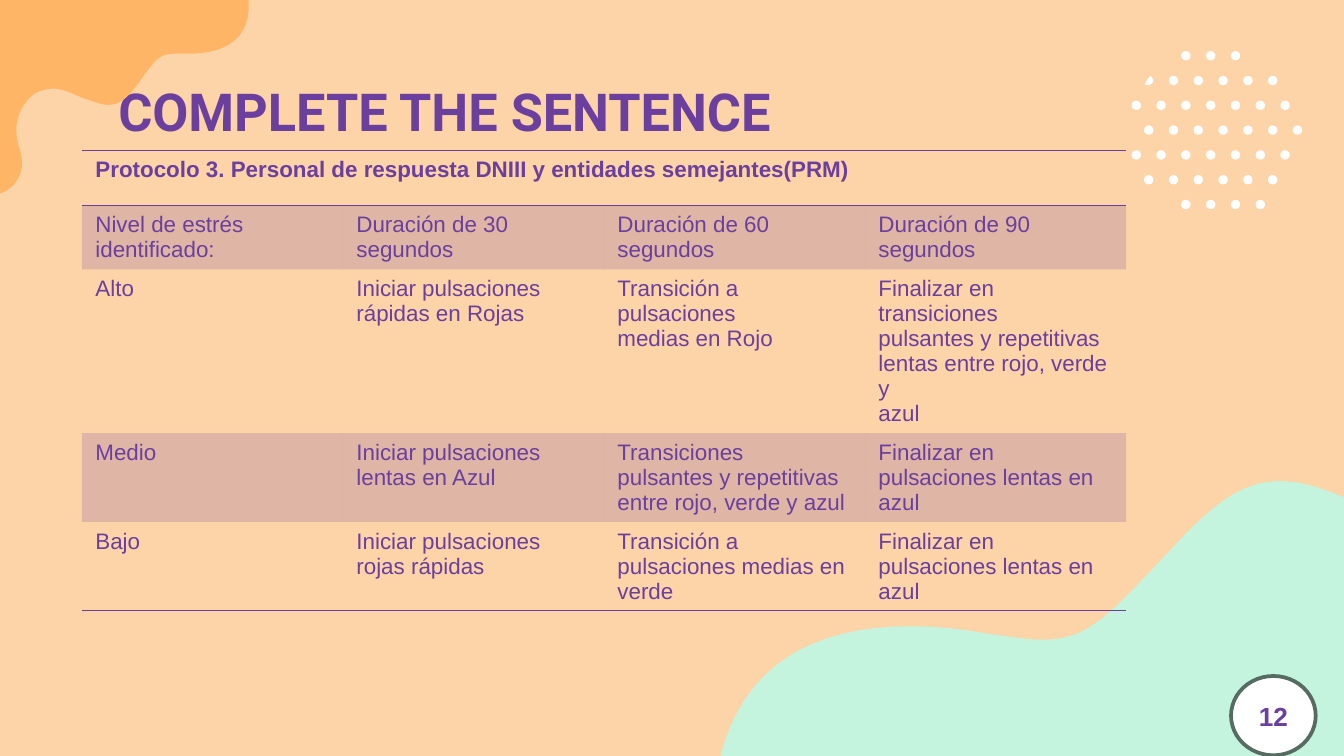
from lxml import etree
from pptx import Presentation
from pptx.dml.color import RGBColor
from pptx.enum import shapes, text
from pptx.oxml import ns
from pptx.util import Inches, Pt

PURPLE = RGBColor(0x6B, 0x3F, 0x9E)
PEACH = RGBColor(0xFD, 0xD3, 0xA8)
ORANGE = RGBColor(0xFF, 0xB5, 0x66)
MINT = RGBColor(0xC4, 0xF4, 0xDE)
WHITE = RGBColor(0xFF, 0xFF, 0xFF)
GREY = RGBColor(0x56, 0x6B, 0x61)

NO_STYLE = "{2D5ABB26-0587-4C30-8999-92F81FD0307C}"
HARD_SPACE = chr(160)
CURVE_STEPS = 16

# Outlines relative to their box: a pair is a line, three pairs are a curve.
MINT_WAVE = [
    (4.16, 0), (3.9, 0, 3.68, 0.15, 3.37, 0.49), (2.88, 1.01, 2.74, 1.18, 2.4, 1.18),
    (2.29, 1.18, 2.17, 1.16, 2.02, 1.14), (1.8, 1.1, 1.6, 1.08, 1.41, 1.08),
    (0.69, 1.08, 0.17, 1.37, 0, 2.05), (4.64, 2.05), (4.64, 0.12),
    (4.45, 0.04, 4.3, 0, 4.16, 0),
]
ORANGE_BLOB = [
    (0, 0), (0, 1.44), (0.12, 1.4, 0.21, 1.27, 0.14, 1.09),
    (0.09, 0.92, 0.15, 0.77, 0.27, 0.69), (0.32, 0.67, 0.36, 0.66, 0.4, 0.66),
    (0.49, 0.66, 0.57, 0.72, 0.68, 0.75), (0.73, 0.77, 0.77, 0.78, 0.81, 0.78),
    (0.89, 0.78, 0.95, 0.73, 1.03, 0.62), (1.16, 0.44, 1.18, 0.4, 1.31, 0.4),
    (1.33, 0.4, 1.34, 0.4, 1.36, 0.4), (1.37, 0.4, 1.39, 0.4, 1.4, 0.4),
    (1.68, 0.4, 1.87, 0.29, 1.85, 0),
]
CUT_DOT = [
    (0.04, 0), (0.02, 0.02, 0.01, 0.04, 0, 0.06), (0, 0.07, 0.01, 0.07, 0.02, 0.07),
    (0.04, 0.07, 0.06, 0.05, 0.06, 0.04), (0.06, 0.02, 0.05, 0.01, 0.04, 0),
]

DOT_SIZE = 0.07
DOT_PITCH = 0.18 + 0.09 / 20
# Half pitches before the first dot and number of dots, row by row.
DOT_ROWS = [(4, 3), (3, 5), (0, 7), (1, 7), (0, 7), (1, 6), (4, 4)]

# A tilde stands for a hard space.
PROTOCOL_ROWS = [
    ["Protocolo 3. Personal de respuesta DNIII y entidades semejantes(PRM)"],
    ["Nivel de estrés identificado:", "Duración de 30 segundos~",
     "Duración de 60 segundos~", "Duración de 90 segundos"],
    ["Alto", "Iniciar pulsaciones rápidas en Rojas",
     "Transición a pulsaciones\nmedias en Rojo",
     "Finalizar en transiciones\npulsantes y repetitivas\nlentas entre rojo, verde y\nazul"],
    ["Medio~", "Iniciar pulsaciones lentas en Azul",
     "Transiciones pulsantes~y repetitivas entre rojo, verde y azul",
     "Finalizar en pulsaciones lentas en azul"],
    ["Bajo", "Iniciar pulsaciones rojas rápidas",
     "Transición a pulsaciones medias en verde",
     "Finalizar en pulsaciones lentas en azul"],
]


def add_run(paragraph, words, size, font="Arial", bold=False):
    run = paragraph.add_run()
    run.text = words
    run.font.name = font
    run.font.size = Pt(size)
    run.font.bold = bold
    run.font.color.rgb = PURPLE


def fill_plain(shape, color):
    shape.shadow.inherit = False
    shape.fill.solid()
    shape.fill.fore_color.rgb = color
    shape.line.fill.background()


def trace(outline):
    """Turn lines and cubic curves into a list of points."""
    points = [outline[0]]
    for segment in outline[1:]:
        if len(segment) == 2:
            points.append(segment)
            continue
        x0, y0 = points[-1]
        x1, y1, x2, y2, x3, y3 = segment
        for step in range(1, CURVE_STEPS + 1):
            t = step / CURVE_STEPS
            a, b, c, d = (1 - t) ** 3, 3 * t * (1 - t) ** 2, 3 * t * t * (1 - t), t ** 3
            points.append((a * x0 + b * x1 + c * x2 + d * x3,
                           a * y0 + b * y1 + c * y2 + d * y3))
    return points


def add_blob(slide, left, top, outline, color):
    points = [(Inches(left + x), Inches(top + y)) for x, y in trace(outline)]
    builder = slide.shapes.build_freeform(*points[0])
    builder.add_line_segments(points[1:], close=True)
    fill_plain(builder.convert_to_shape(), color)


def add_dots(slide, left, top):
    for row, (half_steps, count) in enumerate(DOT_ROWS):
        for column in range(count):
            dot = slide.shapes.add_shape(
                shapes.MSO_SHAPE.OVAL,
                Inches(left + (half_steps / 2 + column) * DOT_PITCH),
                Inches(top + row * DOT_PITCH),
                Inches(DOT_SIZE), Inches(DOT_SIZE))
            fill_plain(dot, WHITE)
    add_blob(slide, left + 0.1, top + DOT_PITCH, CUT_DOT, WHITE)


def add_title(slide, left, top, width, height):
    title = slide.shapes.title
    title.left, title.top = Inches(left), Inches(top)
    title.width, title.height = Inches(width), Inches(height)
    frame = title.text_frame
    frame.auto_size = text.MSO_AUTO_SIZE.NONE
    frame.word_wrap = True
    frame.vertical_anchor = text.MSO_ANCHOR.TOP
    frame.margin_left = frame.margin_right = Inches(0.1)
    frame.margin_top = frame.margin_bottom = Inches(0.1)
    paragraph = frame.paragraphs[0]
    paragraph.alignment = text.PP_ALIGN.LEFT
    paragraph.line_spacing = 1.0
    add_run(paragraph, "COMPLETE THE SENTENCE", 28, "Roboto", True)


def tint(cell):
    """Fill the cell with purple at 20 % opacity."""
    cell.fill.solid()
    cell.fill.fore_color.rgb = PURPLE
    color = cell._tc.tcPr.find(".//" + ns.qn("a:srgbClr"))
    etree.SubElement(color, ns.qn("a:alpha"), val="20000")


def add_border(cell, side):
    line = etree.Element(ns.qn("a:ln" + side), w=str(Pt(1)))
    fill = etree.SubElement(line, ns.qn("a:solidFill"))
    etree.SubElement(fill, ns.qn("a:srgbClr"), val=str(PURPLE))
    cell._tc.get_or_add_tcPr().insert(0, line)


def add_protocol_table(slide, left, top, width, height):
    last = len(PROTOCOL_ROWS) - 1
    graphic = slide.shapes.add_table(
        len(PROTOCOL_ROWS), 4, Inches(left), Inches(top), Inches(width), Inches(height))
    table = graphic.table
    table.first_row = table.horz_banding = False
    table._tbl.tblPr.find(ns.qn("a:tableStyleId")).text = NO_STYLE
    table.cell(0, 0).merge(table.cell(0, 3))

    for index, row in enumerate(table.rows):
        row.height = Inches(0.41)
        for cell in row.cells:
            if index in (1, 3):
                tint(cell)
            else:
                cell.fill.background()
            if index in (0, last):
                add_border(cell, "B")
            if index == 0:
                add_border(cell, "T")
        for cell, words in zip(row.cells, PROTOCOL_ROWS[index]):
            paragraph = cell.text_frame.paragraphs[0]
            for number, line in enumerate(words.replace("~", HARD_SPACE).split("\n")):
                if number:
                    paragraph.add_line_break()
                add_run(paragraph, line, 12, bold=index == 0)
    graphic.height = Inches(height)


def add_page_number(slide, left, top, width, height):
    badge = slide.shapes.add_shape(
        shapes.MSO_SHAPE.OVAL, Inches(left), Inches(top), Inches(width), Inches(height))
    fill_plain(badge, WHITE)
    badge.line.color.rgb = GREY
    badge.line.width = Pt(2)
    badge.text_frame.vertical_anchor = text.MSO_ANCHOR.MIDDLE
    paragraph = badge.text_frame.paragraphs[0]
    paragraph.alignment = text.PP_ALIGN.CENTER
    add_run(paragraph, "12", 14, bold=True)


def main():
    presentation = Presentation()
    presentation.slide_width = Inches(10)
    presentation.slide_height = Inches(10 * 9 / 16)
    slide = presentation.slides.add_slide(presentation.slide_layouts[5])
    slide.background.fill.solid()
    slide.background.fill.fore_color.rgb = PEACH
    add_blob(slide, 5.36, 3.58, MINT_WAVE, MINT)
    add_blob(slide, 0, 0, ORANGE_BLOB, ORANGE)
    add_dots(slide, 8.42, 0.38)
    add_title(slide, 0.78, 0.49, 8.44, 0.63)
    add_protocol_table(slide, 0.61, 1.12, 7.77, 3.61)
    add_page_number(slide, 9.16, 5.03, 0.63, 0.59)
    presentation.save("out.pptx")


if __name__ == "__main__":
    main()
